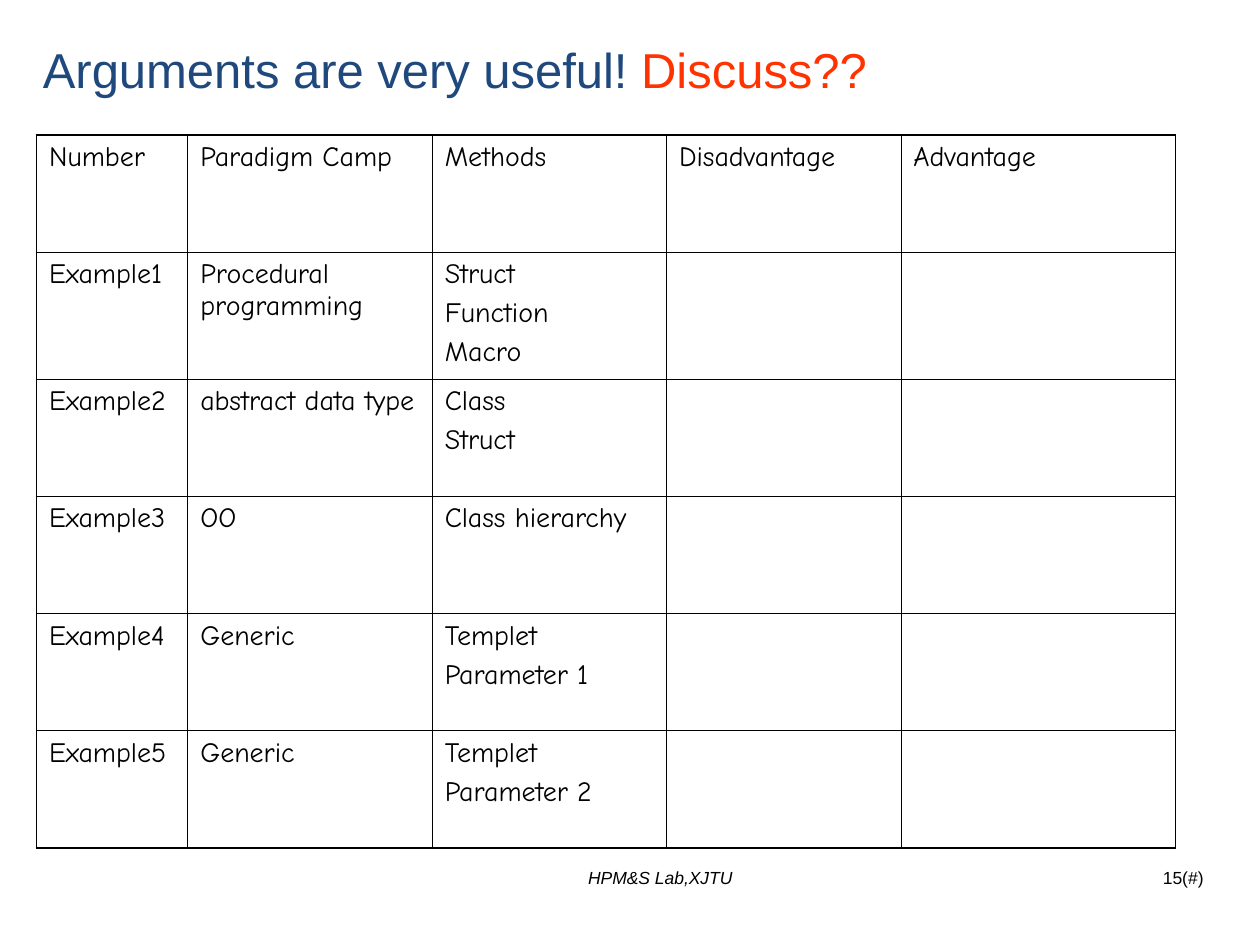
import dataclasses

import lxml.etree
import pptx
import pptx.dml.color
import pptx.enum.text
import pptx.oxml.ns
import pptx.util

Inches = pptx.util.Inches
Pt = pptx.util.Pt
ALIGN = pptx.enum.text.PP_ALIGN
ANCHOR = pptx.enum.text.MSO_ANCHOR


@dataclasses.dataclass(frozen=True)
class Theme:
    ink: str = "000000"
    title: str = "1F497D"
    accent: str = "FF3300"
    heading_font: str = "Arial"
    table_font: str = "Comic Neue"
    title_size: float = 28
    table_size: float = 16
    footer_size: float = 10
    line_gap: float = 4
    grid_line: float = 0.45
    frame_line: float = 1.08


class SlideBuilder:
    """Adds styled elements to the current slide."""

    def __init__(self, slide, theme):
        self.slide = slide
        self.theme = theme

    def run(self, paragraph, text, size, color, font, italic=False):
        run = paragraph.add_run()
        run.text = text
        run.font.size = Pt(size)
        run.font.name = font
        run.font.italic = italic
        run.font.color.rgb = pptx.dml.color.RGBColor.from_string(color)

    def title(self, left, top, width, height, parts):
        heading = self.slide.shapes.title
        heading.left, heading.top = Inches(left), Inches(top)
        heading.width, heading.height = Inches(width), Inches(height)
        frame = heading.text_frame
        frame.auto_size = pptx.enum.text.MSO_AUTO_SIZE.NONE
        frame.vertical_anchor = ANCHOR.MIDDLE
        paragraph = frame.paragraphs[0]
        paragraph.alignment = ALIGN.LEFT
        for text, color in parts:
            self.run(paragraph, text, self.theme.title_size, color, self.theme.heading_font)

    def footer(self, left, top, width, height, text, alignment, italic=False):
        box = self.slide.shapes.add_textbox(
            Inches(left), Inches(top), Inches(width), Inches(height))
        box.text_frame.word_wrap = True
        paragraph = box.text_frame.paragraphs[0]
        paragraph.alignment = alignment
        self.run(paragraph, text, self.theme.footer_size, self.theme.ink,
                 self.theme.heading_font, italic)

    def border(self, cell, side, width):
        properties = cell._tc.get_or_add_tcPr()
        line = lxml.etree.SubElement(
            properties, pptx.oxml.ns.qn(f"a:ln{side}"), w=str(int(Pt(width))))
        fill = lxml.etree.SubElement(line, pptx.oxml.ns.qn("a:solidFill"))
        lxml.etree.SubElement(fill, pptx.oxml.ns.qn("a:srgbClr"), val=self.theme.ink)

    def cell(self, cell, lines, outer_sides):
        for side in "LRTB":
            width = self.theme.frame_line if side in outer_sides else self.theme.grid_line
            self.border(cell, side, width)
        cell.fill.background()
        for index, text in enumerate(lines):
            frame = cell.text_frame
            paragraph = frame.add_paragraph() if index else frame.paragraphs[0]
            if index:
                paragraph.space_before = Pt(self.theme.line_gap)
            self.run(paragraph, text, self.theme.table_size, self.theme.ink,
                     self.theme.table_font)

    def table(self, left, top, widths, heights, rows):
        table = self.slide.shapes.add_table(
            len(heights), len(widths), Inches(left), Inches(top),
            Inches(sum(widths)), Inches(sum(heights))).table
        table.first_row = table.horz_banding = False
        for column, width in zip(table.columns, widths):
            column.width = Inches(width)
        for row, height in zip(table.rows, heights):
            row.height = Inches(height)
        last_row, last_column = len(heights) - 1, len(widths) - 1
        for r in range(len(heights)):
            for c in range(len(widths)):
                edges = {"L": c == 0, "R": c == last_column, "T": r == 0, "B": r == last_row}
                outer_sides = [side for side, is_outer in edges.items() if is_outer]
                lines = rows[r][c] if c < len(rows[r]) else []
                self.cell(table.cell(r, c), lines, outer_sides)


def main():
    theme = Theme()
    deck = pptx.Presentation()
    deck.slide_width, deck.slide_height = Inches(10), Inches(7.5)
    builder = SlideBuilder(deck.slides.add_slide(deck.slide_layouts[5]), theme)

    builder.title(0.24, 0.25, 9.49, 0.59, [
        ("Arguments are very useful! ", theme.title),
        ("Discuss??", theme.accent),
    ])

    headings = ["Number", "Paradigm Camp", "Methods", "Disadvantage", "Advantage"]
    paradigms = [
        ("Procedural programming", ["Struct", "Function", "Macro"]),
        ("abstract data type", ["Class", "Struct"]),
        ("OO", ["Class hierarchy"]),
        ("Generic", ["Templet", "Parameter 1"]),
        ("Generic", ["Templet", "Parameter 2"]),
    ]
    examples = [[[f"Example{number}"], [camp], methods]
                for number, (camp, methods) in enumerate(paradigms, 1)]
    builder.table(0.29, 1.07, [1.2, 1.94, 1.86, 1.86, 2.18],
                  [0.93, 1.01] + [0.93] * 4,
                  [[[heading] for heading in headings]] + examples)

    builder.footer(3.35, 6.83, 3.78, 0.52, "HPM&S Lab,XJTU", ALIGN.CENTER, italic=True)
    builder.footer(7.73, 6.83, 1.92, 0.52, "15(#)", ALIGN.RIGHT)
    deck.save("out.pptx")


if __name__ == "__main__":
    main()
